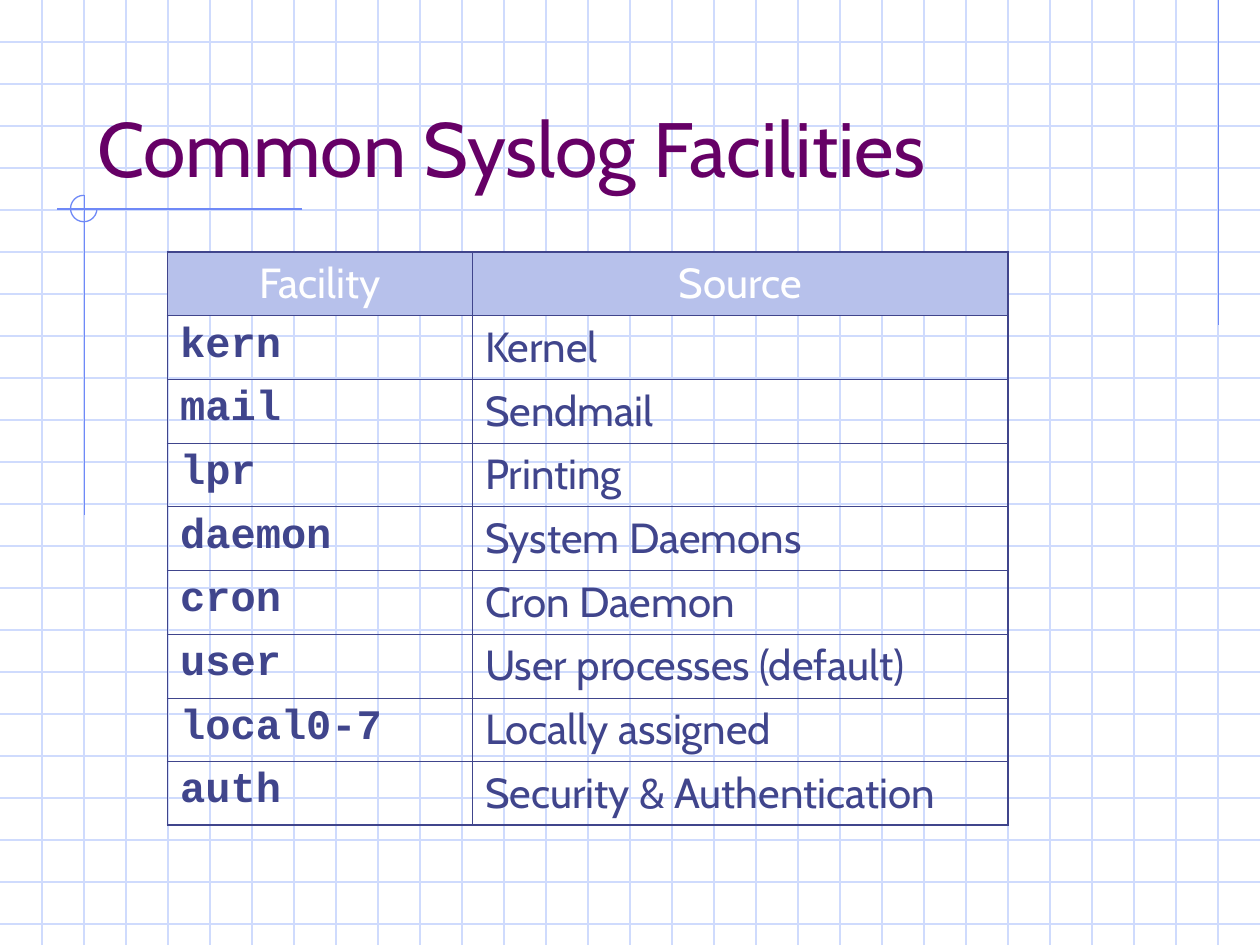
from typing import NamedTuple

from lxml import etree
from pptx import Presentation
from pptx import util as u
from pptx.dml.color import RGBColor
from pptx.enum import shapes, text
from pptx.oxml import ns

GRID_BLUE = RGBColor(0xCF, 0xDB, 0xFD)
ACCENT_BLUE = RGBColor(0x6F, 0x89, 0xF7)
HEADER_BLUE = RGBColor(0xB7, 0xC1, 0xEB)
INK_BLUE = RGBColor(0x40, 0x45, 0x8C)
PURPLE = RGBColor(0x66, 0x00, 0x66)
WHITE = RGBColor(0xFF, 0xFF, 0xFF)

WIDTH, HEIGHT = 10, 7.5
GRID_STEP = 1 / 3
INNER_BORDER, OUTER_BORDER = 0.45, 1.08


class Line(NamedTuple):
    x1: float
    y1: float
    x2: float
    y2: float
    color: RGBColor


class Facility(NamedTuple):
    name: str
    source: str


HEADER = Facility("Facility", "Source")
FACILITIES = [
    Facility("kern", "Kernel"),
    Facility("mail", "Sendmail"),
    Facility("lpr", "Printing"),
    Facility("daemon", "System Daemons"),
    Facility("cron", "Cron Daemon"),
    Facility("user", "User processes (default)"),
    Facility("local0-7", "Locally assigned"),
    Facility("auth", "Security & Authentication"),
]
ACCENTS = [
    Line(9.67, 0, 9.67, 2.58, ACCENT_BLUE),
    Line(2.4, 1.66, 0.45, 1.66, ACCENT_BLUE),
    Line(0.67, 1.55, 0.67, 4.09, ACCENT_BLUE),
]

TITLE_FONT = {"name": "Cabin", "size": u.Pt(44), "bold": False}
HEADER_FONT = {"name": "Cabin", "size": u.Pt(24), "bold": False}
NAME_FONT = {"name": "Courier New", "size": u.Pt(24), "bold": True}
SOURCE_FONT = HEADER_FONT


def format_font(font, values: dict, color: RGBColor) -> None:
    for name, value in values.items():
        setattr(font, name, value)
    font.color.rgb = color


def draw_line(page, line: Line) -> None:
    ends = [u.Inches(value) for value in line[:4]]
    connector = page.shapes.add_connector(shapes.MSO_CONNECTOR.STRAIGHT, *ends)
    connector.line.color.rgb = line.color
    connector.line.width = u.Pt(0.75)
    etree.SubElement(connector.element.spPr, ns.qn("a:effectLst"))


def draw_background(page) -> None:
    # Square grid, three steps to the inch
    for step in range(1, 23):
        y = step * GRID_STEP
        draw_line(page, Line(0, y, WIDTH, y, GRID_BLUE))
    for step in range(1, 30):
        x = step * GRID_STEP
        draw_line(page, Line(x, 0, x, HEIGHT, GRID_BLUE))

    # Accent lines and the three-quarter circle where two of them cross
    for line in ACCENTS:
        draw_line(page, line)
    arc = page.shapes.add_shape(shapes.MSO_SHAPE.ARC, u.Inches(0.56), u.Inches(1.55),
                                u.Inches(0.21), u.Inches(0.21))
    arc.adjustments[0] = 0
    arc.adjustments[1] = 162
    arc.shadow.inherit = False
    arc.fill.background()
    arc.line.color.rgb = ACCENT_BLUE
    arc.line.width = u.Pt(0.75)


def place_title(page, words: str) -> None:
    title = page.shapes.title
    # Bring the title in front of the grid
    title.element.getparent().append(title.element)
    title.left, title.top = u.Inches(0.67), u.Inches(0.33)
    title.width, title.height = u.Inches(8.5), u.Inches(1.25)
    frame = title.text_frame
    frame.text = words
    frame.auto_size = text.MSO_AUTO_SIZE.NONE
    frame.vertical_anchor = text.MSO_ANCHOR.BOTTOM
    para = frame.paragraphs[0]
    para.alignment = text.PP_ALIGN.LEFT
    format_font(para.font, TITLE_FONT, PURPLE)


def set_borders(cell, widths: dict[str, float]) -> None:
    properties = cell._tc.get_or_add_tcPr()
    for index, (side, width) in enumerate(widths.items()):
        border = etree.Element(ns.qn(f"a:{side}"), w=str(u.Pt(width)))
        fill = etree.SubElement(border, ns.qn("a:solidFill"))
        etree.SubElement(fill, ns.qn("a:srgbClr"), val=str(INK_BLUE))
        properties.insert(index, border)


def fill_cell(cell, words: str, font: dict, is_header: bool) -> None:
    cell.text = words
    para = cell.text_frame.paragraphs[0]
    if is_header:
        para.alignment = text.PP_ALIGN.CENTER
        cell.fill.solid()
        cell.fill.fore_color.rgb = HEADER_BLUE
    else:
        cell.fill.background()
    format_font(para.font, font, WHITE if is_header else INK_BLUE)


def draw_table(page) -> None:
    rows = [HEADER, *FACILITIES]
    table = page.shapes.add_table(len(rows), 2, u.Inches(1.33), u.Inches(2),
                                  u.Inches(6.67), u.Inches(4.5)).table
    table.first_row = False
    table.horz_banding = False
    for column, width in zip(table.columns, (2.42, 4.25)):
        column.width = u.Inches(width)

    last_row = len(rows) - 1
    for r, facility in enumerate(rows):
        is_header = r == 0
        fonts = (HEADER_FONT, HEADER_FONT) if is_header else (NAME_FONT, SOURCE_FONT)
        for c, (words, font) in enumerate(zip(facility, fonts)):
            cell = table.cell(r, c)
            fill_cell(cell, words, font, is_header)
            on_edge = {"lnL": c == 0, "lnR": c == 1, "lnT": is_header, "lnB": r == last_row}
            set_borders(cell, {side: OUTER_BORDER if edge else INNER_BORDER
                               for side, edge in on_edge.items()})


def main() -> None:
    deck = Presentation()
    deck.slide_width, deck.slide_height = u.Inches(WIDTH), u.Inches(HEIGHT)
    page = deck.slides.add_slide(deck.slide_layouts[5])
    draw_background(page)
    place_title(page, "Common Syslog Facilities")
    draw_table(page)
    deck.save("out.pptx")


if __name__ == "__main__":
    main()
